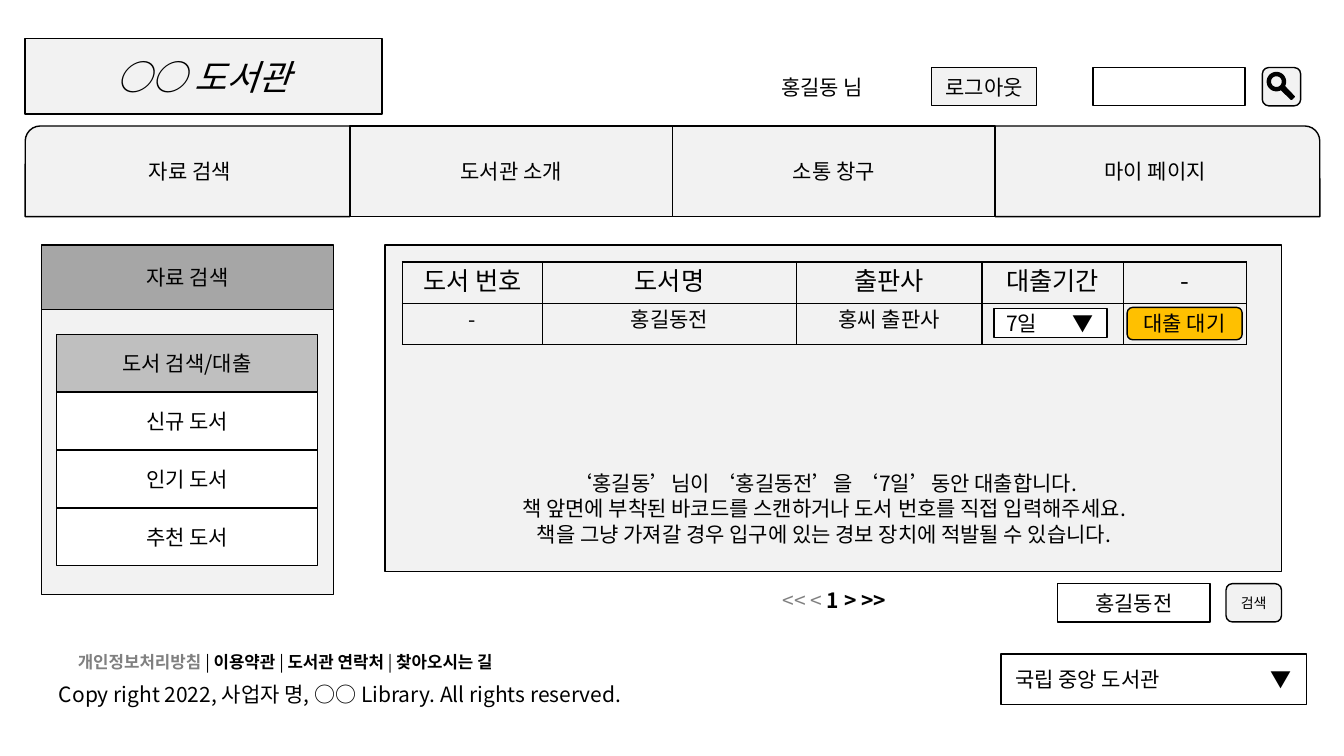
from math import cos, radians, sin

from lxml import etree
from pptx import Presentation
from pptx.dml.color import RGBColor
from pptx.enum.shapes import MSO_SHAPE as Shape
from pptx.enum.text import MSO_ANCHOR as Anchor, PP_ALIGN as Align
from pptx.oxml.ns import qn
from pptx.util import Inches, Pt

COLORS = {
    "ink": "000000",
    "muted": "808080",
    "paper": "FFFFFF",
    "panel": "F2F2F2",
    "heading": "A6A6A6",
    "selected": "BFBFBF",
    "action": "FFC000",
}
FONT = "Noto Sans CJK KR"


def color(name):
    return RGBColor.from_string(COLORS[name])


class Wireframe:
    """Draws outlined boxes, text and tables on one slide in a shared style."""

    def __init__(self, slide, size=15, line_width=1, leading=1.2):
        self.shapes = slide.shapes
        self.size = size
        self.line_width = line_width
        self.leading = leading

    def set_text(self, frame, lines, align=Align.CENTER, size=None, italic=False, tab=None):
        """Fill a text frame; a line is a string or a list of (text, colour, bold)."""
        size = size or self.size
        for index, line in enumerate(lines):
            paragraph = frame.add_paragraph() if index else frame.paragraphs[0]
            paragraph.alignment = align
            paragraph.line_spacing = Pt(size * self.leading)
            if tab:
                tabs = etree.SubElement(paragraph._p.get_or_add_pPr(), qn("a:tabLst"))
                etree.SubElement(tabs, qn("a:tab"), pos=str(Inches(tab)), algn="l")
            runs = [(line, "ink", False)] if isinstance(line, str) else line
            for text, tone, bold in runs:
                run = paragraph.add_run()
                run.text = text
                run.font.color.rgb = color(tone)
                formats = {"size": Pt(size), "bold": bold, "italic": italic, "name": FONT}
                for attribute, value in formats.items():
                    setattr(run.font, attribute, value)
                etree.SubElement(run._r.get_or_add_rPr(), qn("a:ea"), typeface=FONT)

    def outline(self, shape, fill):
        shape.shadow.inherit = False
        shape.fill.solid()
        shape.fill.fore_color.rgb = color(fill)
        shape.line.color.rgb = color("ink")
        shape.line.width = Pt(self.line_width)

    def box(self, left, top, width, height, text="", fill="panel", kind=Shape.RECTANGLE,
            flip=False, inset=0.1, **style):
        shape = self.shapes.add_shape(kind, *map(Inches, (left, top, width, height)))
        self.outline(shape, fill)
        if flip:
            shape._element.spPr.get_or_add_xfrm().set("flipH", "1")
        if text:
            frame = shape.text_frame
            formats = {"vertical_anchor": Anchor.MIDDLE, "margin_left": Inches(inset),
                       "word_wrap": True}
            for attribute, value in formats.items():
                setattr(frame, attribute, value)
            self.set_text(frame, [text], **style)

    def dropdown(self, left, top, width, height, choice, inset, tab):
        self.box(left, top, width, height, f"{choice}\t▼", "paper",
                 inset=inset, align=Align.LEFT, tab=tab)

    def label(self, left, top, width, height, lines, wrap=False, anchor=Anchor.TOP, **style):
        frame = self.shapes.add_textbox(*map(Inches, (left, top, width, height))).text_frame
        frame.word_wrap = wrap
        frame.vertical_anchor = anchor
        self.set_text(frame, lines, **style)

    def magnifier(self, x, y, outer, inner, reach, half_width):
        """Lens ring centred on x, y with a handle pointing down and right."""
        def place(along, across):
            turn = radians(45)
            return (Inches(x + along * cos(turn) - across * sin(turn)),
                    Inches(y + along * sin(turn) + across * cos(turn)))

        def arc(radius, start, stop):
            return [place(radius * cos(radians(a)), radius * sin(radians(a)))
                    for a in range(start, stop + 1, 10)]

        rim = arc(outer, 15, 345) + [place(reach, -half_width), place(reach, half_width)]
        lens = arc(inner, 0, 350)
        builder = self.shapes.build_freeform(*rim[0], scale=1.0)
        builder.add_line_segments(rim[1:], close=True)
        builder.move_to(*lens[0])
        builder.add_line_segments(lens[1:], close=True)
        self.outline(builder.convert_to_shape(), "ink")

    def cell_border(self, cell):
        properties = cell._tc.get_or_add_tcPr()
        for index, side in enumerate(("lnL", "lnR", "lnT", "lnB")):
            border = etree.Element(qn(f"a:{side}"), w=str(Pt(self.line_width)))
            fill = etree.SubElement(border, qn("a:solidFill"))
            etree.SubElement(fill, qn("a:srgbClr"), val=COLORS["ink"])
            properties.insert(index, border)

    def table(self, left, top, widths, row_height, rows, sizes):
        area = (left, top, sum(widths), row_height * len(rows))
        grid = self.shapes.add_table(len(rows), len(widths), *map(Inches, area)).table
        grid.first_row = grid.horz_banding = False
        for column, width in zip(grid.columns, widths):
            column.width = Inches(width)
        for row, texts, size in zip(grid.rows, rows, sizes):
            row.height = Inches(row_height)
            for cell, text in zip(row.cells, texts):
                cell.fill.solid()
                cell.fill.fore_color.rgb = color("panel")
                self.cell_border(cell)
                self.set_text(cell.text_frame, [text], size=size)


def draw_header(page):
    page.box(0.25, 0.38, 3.54, 0.75, "○○ 도서관", size=25, italic=True)
    page.label(6.66, 0.67, 2, 0.38, ["홍길동 님"], wrap=True,
               anchor=Anchor.MIDDLE, align=Align.RIGHT)
    page.box(9.24, 0.67, 1.04, 0.38, "로그아웃")
    page.box(10.84, 0.67, 1.51, 0.38, fill="paper")
    page.box(12.52, 0.67, 0.38, 0.38, kind=Shape.ROUNDED_RECTANGLE)
    page.magnifier(12.66, 0.81, outer=0.09, inner=0.06, reach=0.23, half_width=0.02)

    left = 0.25
    rounded = Shape.ROUND_1_RECTANGLE
    for menu, width, kind, flip in (
        ("자료 검색", 3.22, rounded, True),
        ("도서관 소개", 3.2, Shape.RECTANGLE, False),
        ("소통 창구", 3.2, Shape.RECTANGLE, False),
        ("마이 페이지", 3.22, rounded, False),
    ):
        page.box(left, 1.25, width, 0.9, menu, kind=kind, flip=flip)
        left += width


def draw_sidebar(page):
    page.box(0.41, 3.07, 2.9, 2.83)
    page.box(0.41, 2.43, 2.9, 0.64, "자료 검색", "heading")
    for index, item in enumerate(("도서 검색/대출", "신규 도서", "인기 도서", "추천 도서")):
        page.box(0.56, 3.32 + index * 1.72 / 3, 2.59, 0.57, item,
                 "paper" if index else "selected")


def draw_loan_panel(page):
    page.box(3.82, 2.43, 8.89, 3.24)
    page.table(3.99, 2.6, (1.39, 2.52, 1.84, 1.4, 1.22), 0.41, (
        ("도서 번호", "도서명", "출판사", "대출기간", "-"),
        ("-", "홍길동전", "홍씨 출판사", "", ""),
    ), sizes=(18, 15))
    page.box(11.18, 3.05, 1.14, 0.32, "대출 대기", "action", Shape.ROUNDED_RECTANGLE)
    page.dropdown(9.86, 3.06, 1.12, 0.29, "7일", inset=0.12, tab=0.66)
    page.label(3.99, 4.62, 8.37, 0.86, [
        "‘홍길동’님이 ‘홍길동전’을 ‘7일’동안 대출합니다.",
        "책 앞면에 부착된 바코드를 스캔하거나 도서 번호를 직접 입력해주세요.",
        "책을 그냥 가져갈 경우 입구에 있는 경보 장치에 적발될 수 있습니다.",
    ], wrap=True)
    page.label(7.52, 5.78, 1.51, 0.35, [[("<< < ", "muted", False), ("1 > >>", "ink", True)]])
    page.box(10.49, 5.79, 1.51, 0.38, "홍길동전", "paper")
    page.box(12.16, 5.79, 0.55, 0.38, "검색", kind=Shape.ROUNDED_RECTANGLE, size=10)


def draw_footer(page):
    policies = [("개인정보처리방침 ", "muted", True)]
    for policy in ("이용약관 ", "도서관 연락처 ", "찾아오시는 길"):
        policies += [("| ", "ink", False), (policy, "ink", True)]
    page.label(0.41, 6.42, 4.84, 0.3, [policies], size=12)
    page.label(0.41, 6.71, 5.93, 0.35,
               ["Copy right 2022, 사업자 명, ○○ Library. All rights reserved."])
    page.dropdown(9.93, 6.49, 3.03, 0.5, "국립 중앙 도서관", inset=0.14, tab=2.53)


def main():
    deck = Presentation()
    deck.slide_width, deck.slide_height = Inches(13.33), Inches(7.5)
    page = Wireframe(deck.slides.add_slide(deck.slide_layouts[6]))
    for draw in (draw_header, draw_sidebar, draw_loan_panel, draw_footer):
        draw(page)
    deck.save("out.pptx")


if __name__ == "__main__":
    main()
